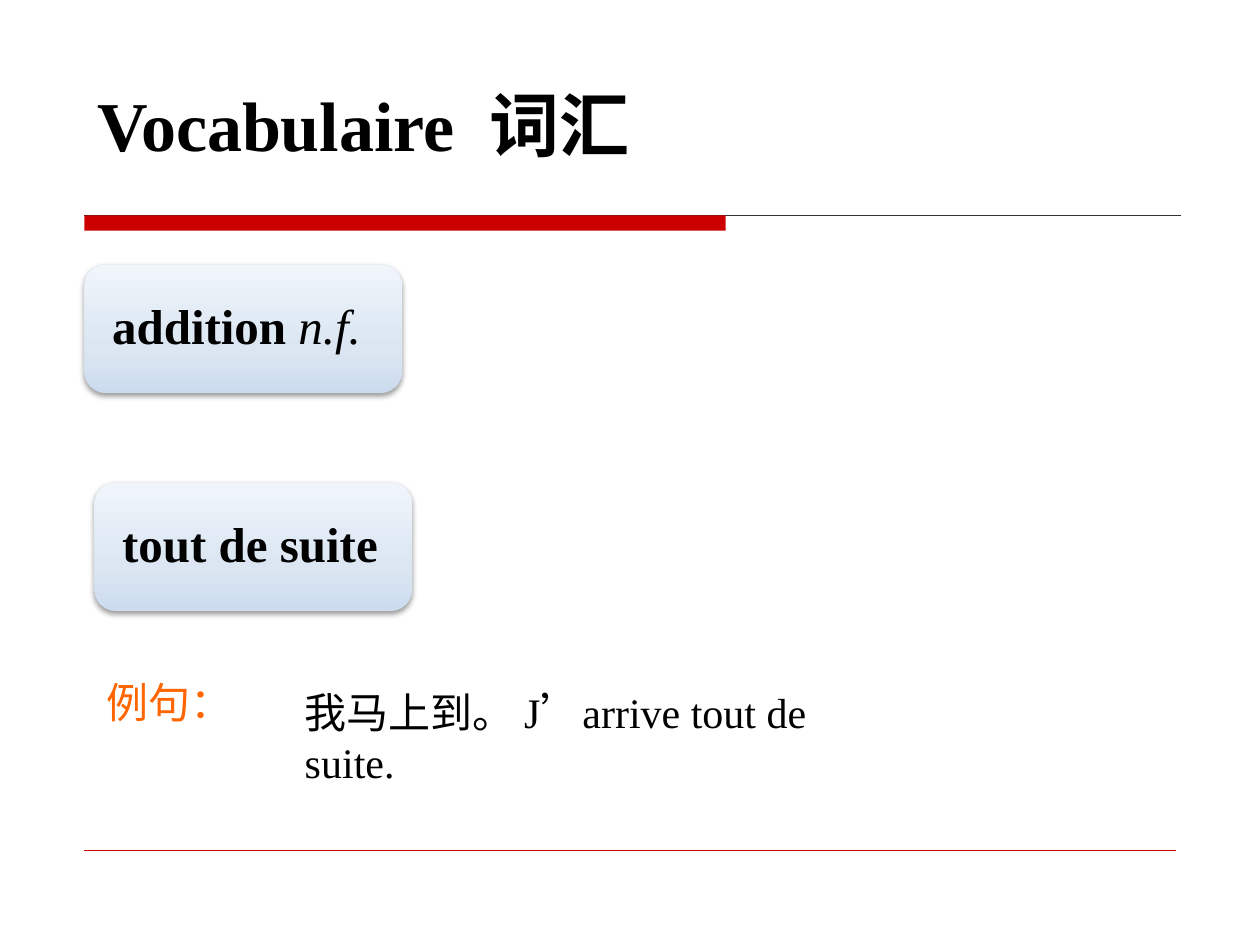
"""Build a French vocabulary slide with Chinese notes."""
from lxml import etree
from pptx import Presentation, util as u
from pptx.dml.color import RGBColor
from pptx.enum import shapes, text
from pptx.oxml import parse_xml
from pptx.oxml.ns import nsdecls, qn

LATIN, CHINESE = "Times New Roman", "Noto Sans CJK SC"
RED, BLACK, ORANGE = "CC0000", "000000", "FF6600"
CARD_STOPS = [(0, "CCDCEE"), (35, "DBE6F2"), (100, "F0F5FB")]
CARD_SIZE = (2.52, 1.02)


def color(value):
    """Turn a hex string into a colour."""
    return RGBColor.from_string(value)


def apply(target, **values):
    """Set several attributes on one object."""
    for name, value in values.items():
        setattr(target, name, value)


def write(box, spans, size, ink=BLACK, font=LATIN, **frame_format):
    """Fill a box with one paragraph of (words, font format) spans."""
    frame = box.text_frame
    apply(frame, word_wrap=True, **frame_format)
    para = frame.paragraphs[0]
    para.alignment = text.PP_ALIGN.LEFT
    for words, span_format in spans:
        span = para.add_run()
        span.text = words
        apply(span.font, name=font, size=u.Pt(size), **span_format)
        span.font.color.rgb = color(ink)
        east_asian = etree.Element(qn("a:ea"), typeface=CHINESE)
        span.font._element.find(qn("a:latin")).addnext(east_asian)
    return para


def add_line(page, left, right, top, ink, weight):
    """Draw a horizontal line without a shadow."""
    line = page.shapes.add_connector(
        shapes.MSO_CONNECTOR.STRAIGHT, *map(u.Inches, (left, top, right, top)))
    line.line.color.rgb = color(ink)
    line.line.width = u.Pt(weight)
    etree.SubElement(line._element.spPr, qn("a:effectLst"))


def add_title(page, left, top, width, height):
    """Place the title placeholder in its box."""
    title = page.shapes.title
    apply(title, left=u.Inches(left), top=u.Inches(top),
          width=u.Inches(width), height=u.Inches(height))
    write(title, [("Vocabulaire  词汇", {"bold": True})], 40,
          vertical_anchor=text.MSO_ANCHOR.TOP, auto_size=text.MSO_AUTO_SIZE.NONE)


def add_rules(page, left, top, width, bottom):
    """Draw the heading bar with its line, and the footer line."""
    add_line(page, left, left + width, top, "333333", 0.75)
    bar = page.shapes.add_shape(
        shapes.MSO_SHAPE.RECTANGLE, *map(u.Inches, (left, top, 5.09, 0.12)))
    bar.shadow.inherit = False
    bar.fill.solid()
    bar.fill.fore_color.rgb = color(RED)
    bar.line.fill.background()
    add_line(page, left, 9.33, bottom, RED, 0.25)


def add_card(page, left, top, width, height, spans):
    """Add a shaded rounded card holding one vocabulary entry."""
    card = page.shapes.add_shape(
        shapes.MSO_SHAPE.ROUNDED_RECTANGLE,
        *map(u.Inches, (left, top, width, height)))
    card.line.fill.background()
    stops = "".join(
        f'<a:gs pos="{place * 1000}"><a:srgbClr val="{ink}"/></a:gs>'
        for place, ink in CARD_STOPS)
    properties = card._element.spPr
    properties.find(qn("a:prstGeom")).addnext(parse_xml(
        f'<a:gradFill {nsdecls("a")} rotWithShape="1"><a:gsLst>{stops}</a:gsLst>'
        '<a:lin ang="16200000" scaled="0"/></a:gradFill>'))
    properties.append(parse_xml(
        f'<a:effectLst {nsdecls("a")}><a:outerShdw blurRad="40000" dist="20000"'
        f' dir="5400000" rotWithShape="0"><a:srgbClr val="{BLACK}">'
        '<a:alpha val="38000"/></a:srgbClr></a:outerShdw></a:effectLst>'))
    para = write(card, spans, 28, vertical_anchor=text.MSO_ANCHOR.MIDDLE,
                 margin_left=u.Inches(0.17), margin_right=u.Inches(0.17))
    para.line_spacing = 0.9


def add_note(page, left, top, width, height, words, **look):
    """Add a plain text box with one line of words."""
    box = page.shapes.add_textbox(*map(u.Inches, (left, top, width, height)))
    write(box, [(words, {})], 24, **look)


def main():
    """Build and save the deck."""
    deck = Presentation()
    apply(deck, slide_width=u.Inches(10), slide_height=u.Inches(7.5))
    page = deck.slides.add_slide(deck.slide_layouts[5])
    add_rules(page, 0.67, 1.71, 8.7, 6.75)
    add_title(page, 0.67, 0.6, 7.8, 0.77)
    add_card(page, 0.67, 2.1, *CARD_SIZE,
             [("addition ", {"bold": True}), ("n.f.", {"italic": True})])
    add_card(page, 0.75, 3.83, *CARD_SIZE, [("tout de suite", {"bold": True})])
    add_note(page, 0.75, 5.32, 1.5, 0.5, "例句：", ink=ORANGE, font=CHINESE)
    add_note(page, 2.32, 5.4, 4.81, 0.5, "我马上到。 J’arrive tout de suite.")
    deck.save("out.pptx")


if __name__ == "__main__":
    main()
